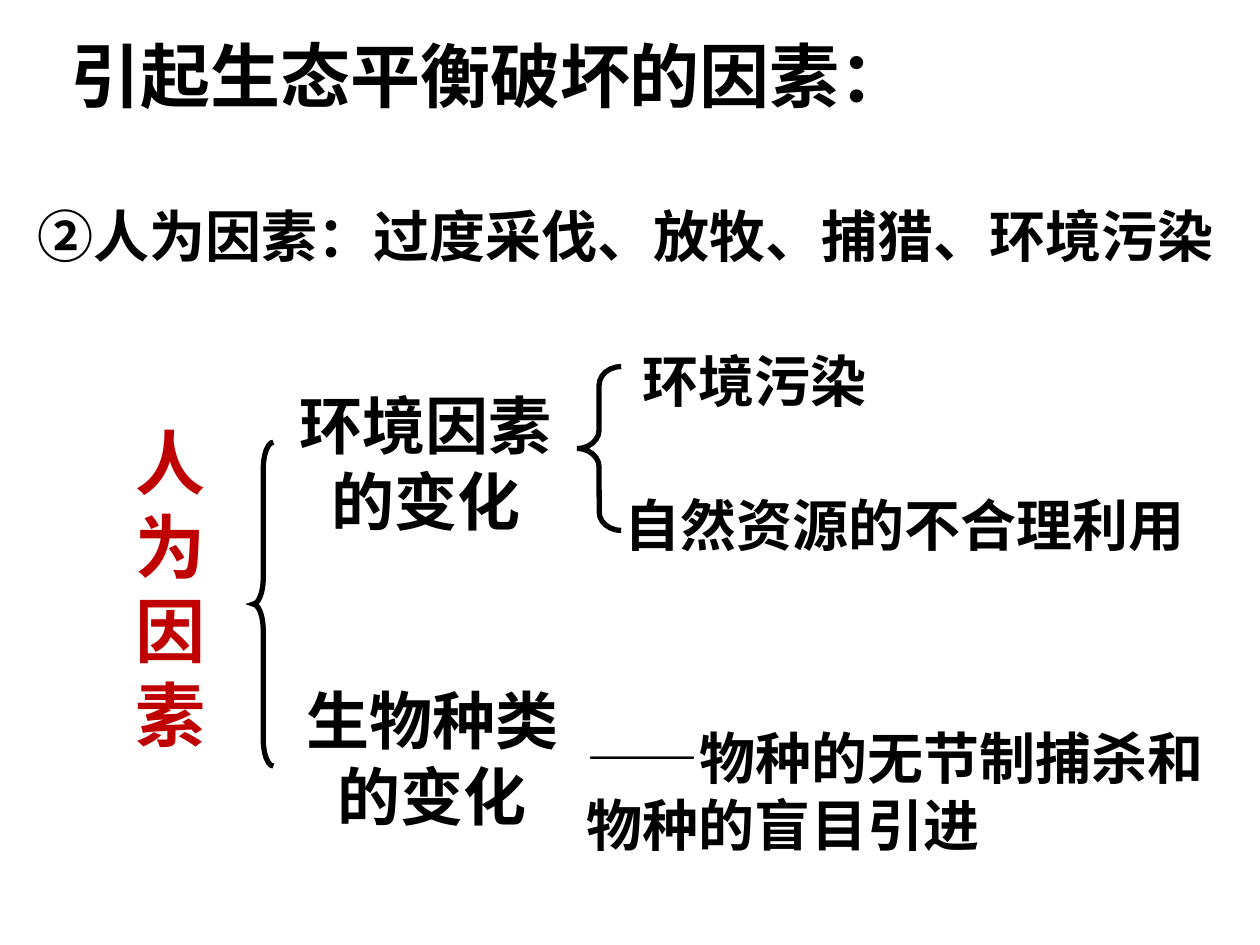
from pptx import Presentation
from pptx import util as u
from pptx.dml import color
from pptx.enum import shapes, text
from pptx.oxml import ns

FONT = "Noto Sans CJK SC"
COLORS = {"text": "000000", "accent": "C00000", "background": "FFFFFF"}
LEFT, CENTER = text.PP_ALIGN.LEFT, text.PP_ALIGN.CENTER


def rgb(name):
    return color.RGBColor.from_string(COLORS[name])


def place(shape, box):
    shape.left, shape.top, shape.width, shape.height = map(u.Inches, box)


def write(shape, content, size, color_name="text", align=LEFT, wrap=True):
    frame = shape.text_frame
    frame.text = content
    frame.word_wrap = wrap
    frame.auto_size = text.MSO_AUTO_SIZE.NONE
    frame.vertical_anchor = text.MSO_ANCHOR.TOP
    frame.margin_left = frame.margin_right = u.Inches(0.1)
    frame.margin_top = frame.margin_bottom = u.Inches(0.05)
    paragraph = frame.paragraphs[0]
    paragraph.alignment = align
    for run in paragraph.runs:
        run.font.size = u.Pt(size)
        run.font.bold = True
        run.font.name = FONT
        run.font.color.rgb = rgb(color_name)
        latin = run.font._element.find(ns.qn("a:latin"))
        east_asian = latin.makeelement(ns.qn("a:ea"), {"typeface": FONT})
        latin.addnext(east_asian)


def add_title(slide, content, box):
    place(slide.shapes.title, box)
    write(slide.shapes.title, content, 40)


def add_label(slide, content, box, size=32, **style):
    label = slide.shapes.add_textbox(*map(u.Inches, box))
    write(label, content, size, **style)


def add_brace(slide, box, curl):
    brace = slide.shapes.add_shape(
        shapes.MSO_SHAPE.LEFT_BRACE, *map(u.Inches, box))
    brace.adjustments[0] = curl
    brace.shadow.inherit = False
    brace.fill.background()
    brace.line.color.rgb = rgb("text")
    brace.line.width = u.Pt(3)
    # Pointed corner at the tip
    outline = brace._element.spPr.find(ns.qn("a:ln"))
    outline.append(outline.makeelement(ns.qn("a:miter"), {"lim": "800000"}))


def main():
    presentation = Presentation()
    presentation.slide_width = u.Inches(10)
    presentation.slide_height = u.Inches(7.5)
    slide = presentation.slides.add_slide(presentation.slide_layouts[5])
    slide.background.fill.solid()
    slide.background.fill.fore_color.rgb = rgb("background")

    # Heading and summary
    add_title(slide, "引起生态平衡破坏的因素：", (0.46, 0.21, 9.08, 0.77))
    add_label(slide, "②人为因素：过度采伐、放牧、捕猎、环境污染",
              (0.2, 1.55, 9.8, 0.64))

    # Root: the narrow box stacks the characters
    add_label(slide, "人为因素", (0.98, 3.28, 1.25, 3.43), 40,
              color_name="accent")
    add_brace(slide, (2.01, 3.51, 0.16, 2.57), 1.34)

    # Main branches
    add_label(slide, "环境因素的变化", (2.17, 3.02, 2.42, 1.3), 36, align=CENTER)
    add_label(slide, "生物种类的变化", (2.18, 5.36, 2.5, 1.3), 36, align=CENTER)
    add_brace(slide, (4.58, 2.91, 0.35, 1.3), 0.42)

    # Details
    add_label(slide, "环境污染", (5, 2.7, 2, 0.64), wrap=False)
    add_label(slide, "自然资源的不合理利用", (4.86, 3.84, 4.66, 0.63), wrap=False)
    add_label(slide, "——物种的无节制捕杀和物种的盲目引进",
              (4.56, 5.69, 5.25, 1.18))

    presentation.save("out.pptx")


if __name__ == "__main__":
    main()
